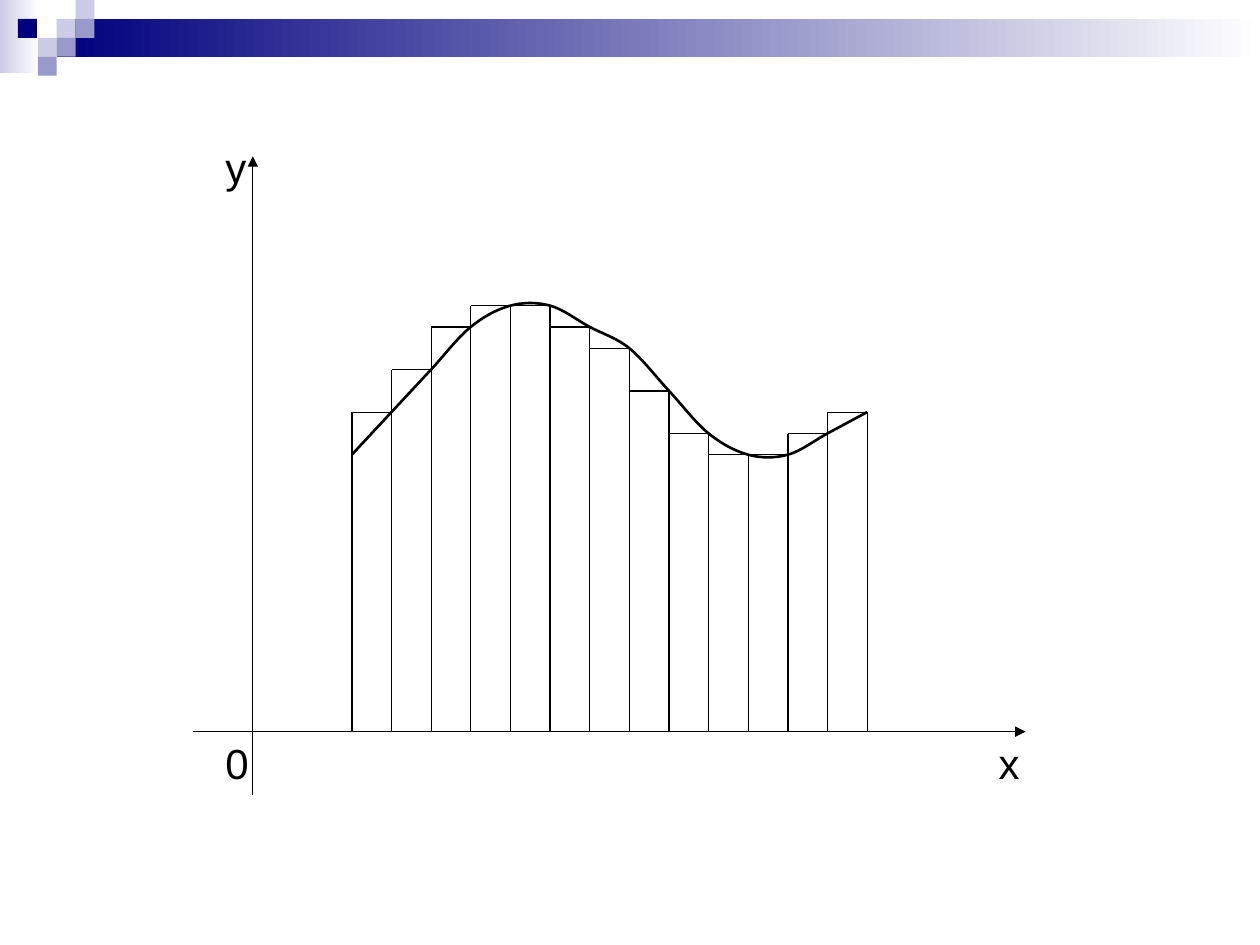
import pptx
import pptx.dml.color
import pptx.enum.shapes
import pptx.enum.text
import pptx.oxml
import pptx.oxml.ns
import pptx.util

Pt = pptx.util.Pt
BLACK, WHITE = "000000", "FFFFFF"
NAVY, LAVENDER, PERIWINKLE = "00007D", "CCCCE6", "9999CC"


def rgb(hex_string):
    return pptx.dml.color.RGBColor.from_string(hex_string)


def add_line(x1, y1, x2, y2, arrow=False):
    line = slide.shapes.add_connector(
        pptx.enum.shapes.MSO_CONNECTOR.STRAIGHT, Pt(x1), Pt(y1), Pt(x2), Pt(y2))
    line.line.color.rgb = rgb(BLACK)
    line.line.width = Pt(0.75)
    if arrow:
        head = pptx.oxml.parse_xml(
            f'<a:tailEnd {pptx.oxml.ns.nsdecls("a")} type="triangle"/>')
        line.line._get_or_add_ln().append(head)
    line._element.spPr.append(pptx.oxml.parse_xml(
        f'<a:effectLst {pptx.oxml.ns.nsdecls("a")}/>'))


presentation = pptx.Presentation()
presentation.slide_width = Pt(720)
presentation.slide_height = Pt(540)
slide = presentation.slides.add_slide(presentation.slide_layouts[6])

BASELINE = 418.1
CELL = 10.8

# Banner: two fading bars, then squares on a grid
blocks = [
    (0, 0, 22.3, 41.8, (LAVENDER, WHITE)),
    (3 * CELL, CELL, 720 - 3 * CELL, 2 * CELL, (NAVY, WHITE)),
]
squares = [
    (3, 1, LAVENDER), (4, 0, LAVENDER), (4, 1, PERIWINKLE), (2, 2, LAVENDER),
    (0.95, 1, NAVY), (3, 2, PERIWINKLE), (2, 3, PERIWINKLE),
]
for column, row, color in squares:
    blocks.append((column * CELL, row * CELL, CELL, CELL, (color,)))

# White fields below the x axis
for left, width, height in [(483.8, 102.2, 28.8), (427.7, 67.7, 28.8),
                            (223.9, 33.8, 36.7), (200.9, 33.8, 36.7),
                            (144.7, 67.7, 36.7)]:
    blocks.append((left, BASELINE, width, height, (WHITE,)))

for left, top, width, height, colors in blocks:
    block = slide.shapes.add_shape(
        pptx.enum.shapes.MSO_SHAPE.RECTANGLE,
        Pt(left), Pt(top), Pt(width), Pt(height))
    block.shadow.inherit = False
    block.line.fill.background()
    if len(colors) == 1:
        block.fill.solid()
        block.fill.fore_color.rgb = rgb(colors[0])
    else:
        block.fill.gradient()
        block.fill.gradient_angle = 0
        for position, (stop, color) in enumerate(
                zip(block.fill.gradient_stops, colors)):
            stop.position = position
            stop.color.rgb = rgb(color)

# Axis labels
for text, left, top, height in [("0", 121.7, BASELINE, 36.7),
                                ("y", 121.7, 77.3, 36.7),
                                ("x", 563.6, BASELINE, 39.6)]:
    label = slide.shapes.add_textbox(Pt(left), Pt(top), Pt(34.2), Pt(height))
    label.fill.solid()
    label.fill.fore_color.rgb = rgb(WHITE)
    label.line.color.rgb = rgb(WHITE)
    label.line.width = Pt(0.75)
    label.text_frame.word_wrap = True
    label.text_frame.vertical_anchor = pptx.enum.text.MSO_ANCHOR.TOP
    paragraph = label.text_frame.paragraphs[0]
    paragraph.alignment = pptx.enum.text.PP_ALIGN.LEFT
    run = paragraph.add_run()
    run.text = text
    run.font.name = "Arial"
    run.font.size = Pt(24)
    run.font.color.rgb = rgb(BLACK)

# Axes
add_line(110.2, BASELINE, 586.1, BASELINE, arrow=True)
add_line(144.5, 454.3, 144.5, 89.3, arrow=True)

# Strips: each one is as high as the curve at its right edge
STEP, UNIT = 22.65, 12.17
curve_heights = [13, 15, 17, 19, 20, 20, 19, 18, 16, 14, 13, 13, 14, 15]
strip_heights = curve_heights[1:]
edges = [201.1 + STEP * i for i in range(len(curve_heights))]
for i, edge in enumerate(edges):
    edge_height = max(strip_heights[max(i - 1, 0):i + 1])
    add_line(edge, BASELINE, edge, BASELINE - UNIT * edge_height)
for left, right, height in zip(edges, edges[1:], strip_heights):
    top = BASELINE - UNIT * height
    add_line(left, top, right, top)

# Curve: a Catmull-Rom spline, as two handles and an end point per strip
padded = [2 * curve_heights[0] - curve_heights[1], *curve_heights,
          2 * curve_heights[-1] - curve_heights[-2]]
curve_points = [(edges[0], curve_heights[0])]
for left, before, start, end, after in zip(
        edges, padded, padded[1:], padded[2:], padded[3:]):
    curve_points += [
        (left + STEP / 3, start + (end - before) / 6),
        (left + STEP * 2 / 3, end - (after - start) / 6),
        (left + STEP, end),
    ]
curve_points = [(Pt(x), Pt(BASELINE - UNIT * height))
                for x, height in curve_points]

builder = slide.shapes.build_freeform(*curve_points[0])
builder.add_line_segments(curve_points[1:], close=False)
curve = builder.convert_to_shape()
curve.shadow.inherit = False
curve.fill.background()
curve.line.color.rgb = rgb(BLACK)
curve.line.width = Pt(1.5)

# Join every three line segments into one Bézier segment
segments = list(curve._element.iter(pptx.oxml.ns.qn("a:lnTo")))
for first, second, third in zip(segments[::3], segments[1::3], segments[2::3]):
    bezier = pptx.oxml.parse_xml(
        f'<a:cubicBezTo {pptx.oxml.ns.nsdecls("a")}/>')
    first.addprevious(bezier)
    for segment in (first, second, third):
        bezier.append(segment[0])
        segment.getparent().remove(segment)

presentation.save("out.pptx")
